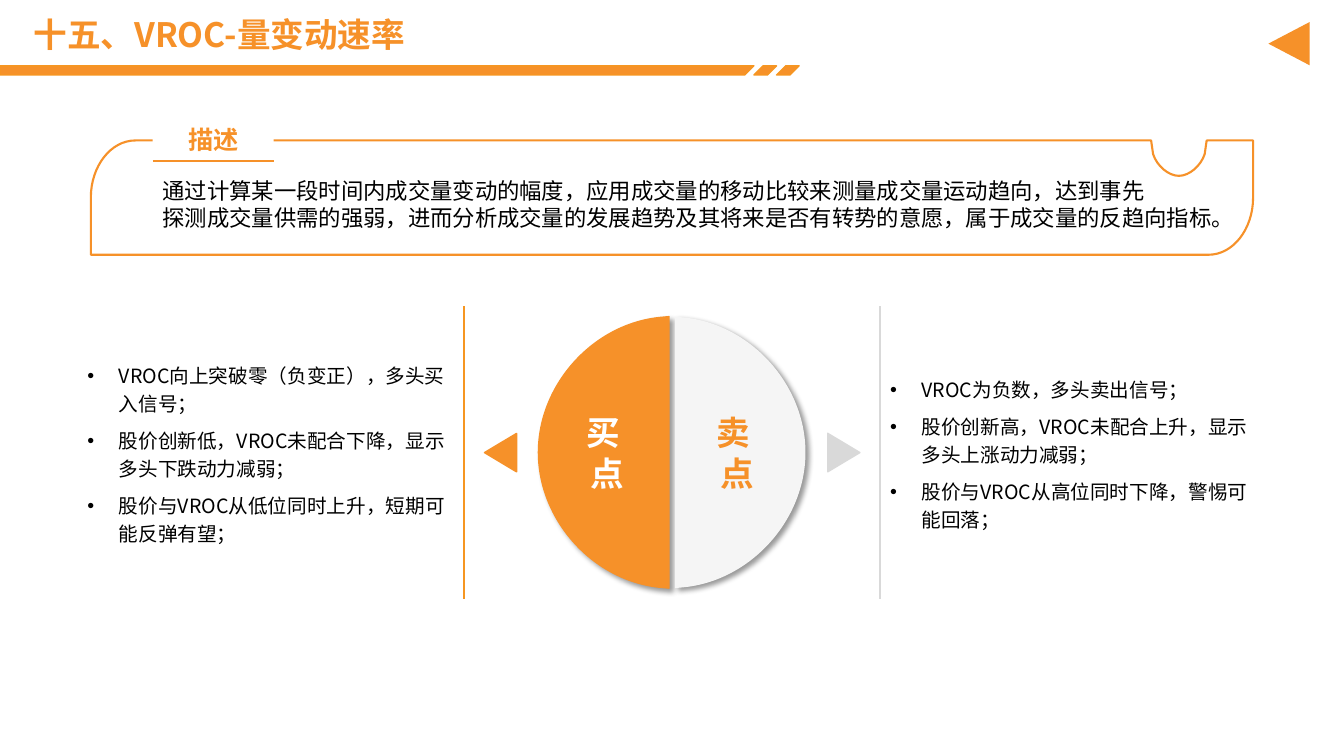
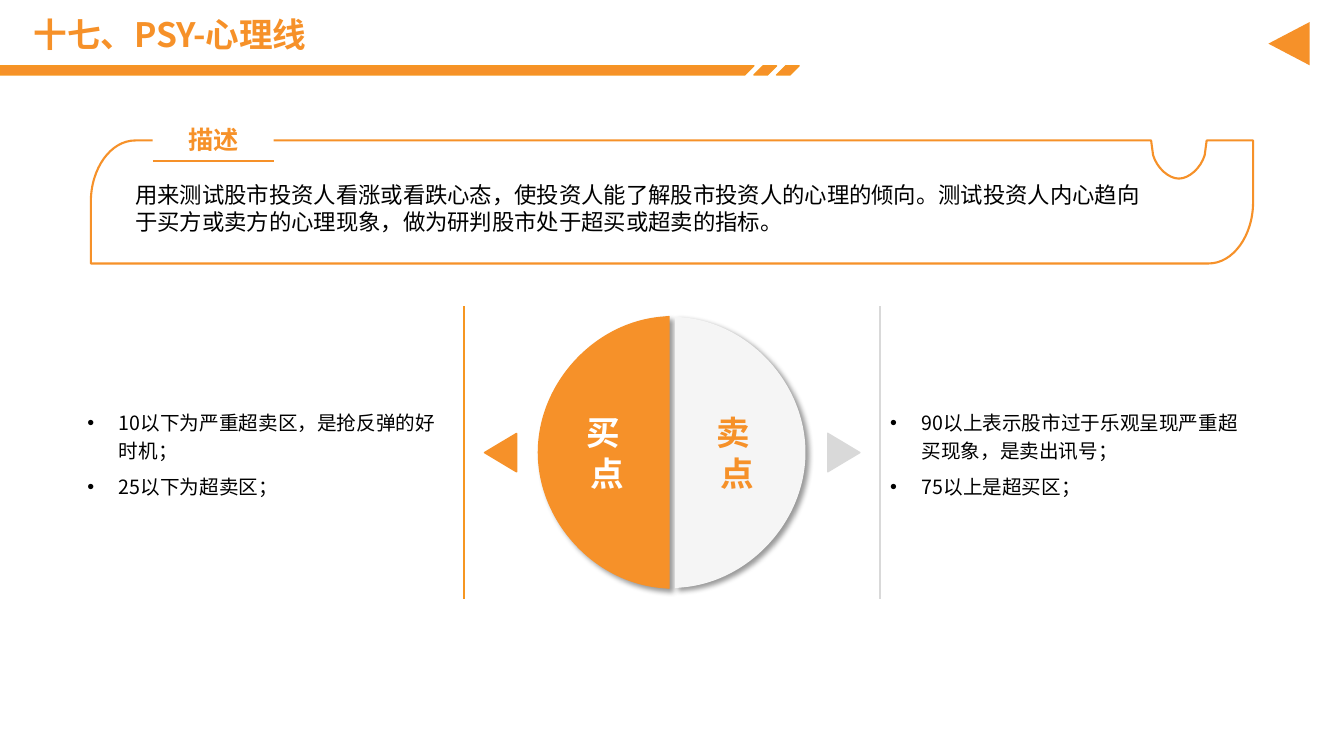
"""Build two indicator slides, each with a description panel and buy and sell signals."""
from dataclasses import dataclass
from typing import Any, NamedTuple

from lxml.etree import SubElement
from pptx import Presentation
from pptx.dml.color import RGBColor
from pptx.enum.shapes import MSO_CONNECTOR as Connector, MSO_SHAPE as Preset
from pptx.enum.text import MSO_ANCHOR as Anchor, MSO_AUTO_SIZE as AutoSize, PP_ALIGN as Align
from pptx.oxml.ns import qn
from pptx.slide import Slide, SlideLayout
from pptx.util import Cm, Pt

FONT = "Noto Sans CJK SC"
ORANGE, BAND_EDGE = "F69129", "F69621"
GREY, PALE, WHITE, BLACK = "D9D9D9", "F5F5F5", "FFFFFF", "000000"
PANEL_LEFT, PANEL_RIGHT, PANEL_TOP = 2.29, 31.58, 3.54
DISC_MIDDLE, DISC_RADIUS, DISC_REACH = 11.4, 3.42, 3.29
CURVE_PULL = 0.55

Point = tuple[float, float]
Step = list[Point]


class Frame(NamedTuple):
    """Place and size in centimetres."""
    left: float
    top: float
    width: float
    height: float

    def lengths(self) -> list[Cm]:
        """Give the four values as lengths."""
        return [Cm(value) for value in self]


@dataclass(frozen=True)
class TextStyle:
    """Look of a piece of text."""
    size: float
    colour: str = BLACK
    bold: bool = False
    align: Align = Align.LEFT
    line_spacing: float = 1.0
    space_after: float = 0
    bullet: bool = False


@dataclass(frozen=True)
class Side:
    """One half of the disc with its arrow, divider and signal list."""
    word: str
    word_frame: Frame
    word_colour: str
    cut: float
    direction: int
    fill: str
    edge: str | None
    arrow: Frame
    turn: int
    arrow_colour: str
    divider: float
    divider_colour: str
    signals: Frame


@dataclass(frozen=True)
class Indicator:
    """Wording of one slide and the measures of its panel."""
    title: str
    description: list[str]
    description_frame: Frame
    panel_height: float
    signals: tuple[list[str], list[str]]


TITLE = TextStyle(24, ORANGE, True, line_spacing=0.9)
LABEL = TextStyle(18, ORANGE, True, Align.CENTER)
DESCRIPTION = TextStyle(16)
SIGNAL = TextStyle(14, line_spacing=1.2, space_after=6, bullet=True)
TITLE_FRAME = Frame(0.59, 0.38, 30.96, 1.09)
LABEL_FRAME = Frame(3.85, 2.96, 3.05, 1.09)
BACK_FRAME = Frame(31.94, 0.58, 1.09, 1.04)

SIDES = (
    Side("买", Frame(13.78, 10.12, 3.05, 2.57), WHITE, 16.86, -1, ORANGE, ORANGE,
         Frame(12.13, 11, 0.97, 0.81), 270, ORANGE, 11.7, BAND_EDGE,
         Frame(1.95, 7.64, 9.7, 7.52)),
    Side("卖", Frame(17.06, 10.12, 3.05, 2.57), ORANGE, 17.01, 1, PALE, None,
         Frame(20.78, 11, 0.97, 0.81), 90, GREY, 22.17, GREY,
         Frame(22.18, 7.64, 9.68, 7.52)),
)

INDICATORS = (
    Indicator(
        "十五、VROC-量变动速率",
        ["通过计算某一段时间内成交量变动的幅度，应用成交量的移动比较来测量成交量运动趋向，达到事先",
         "探测成交量供需的强弱，进而分析成交量的发展趋势及其将来是否有转势的意愿，属于成交量的反趋向指标。"],
        Frame(3.85, 4.17, 27.23, 2.01), 2.88,
        (["VROC向上突破零（负变正），多头买入信号；",
          "股价创新低，VROC未配合下降，显示多头下跌动力减弱；",
          "股价与VROC从低位同时上升，短期可能反弹有望；"],
         ["VROC为负数，多头卖出信号；",
          "股价创新高，VROC未配合上升，显示多头上涨动力减弱；",
          "股价与VROC从高位同时下降，警惕可能回落；"])),
    Indicator(
        "十七、PSY-心理线",
        ["用来测试股市投资人看涨或看跌心态，使投资人能了解股市投资人的心理的倾向。测试投资人内心趋向",
         "于买方或卖方的心理现象，做为研判股市处于超买或超卖的指标。"],
        Frame(3.16, 3.95, 27.91, 2.67), 3.1,
        (["10以下为严重超卖区，是抢反弹的好时机；", "25以下为超卖区；"],
         ["90以上表示股市过于乐观呈现严重超买现象，是卖出讯号；", "75以上是超买区；"])),
)


def paint(target: Any, colour: str) -> None:
    """Give a fill or a font a solid colour."""
    fill = getattr(target, "fill", target)
    fill.solid()
    fill.fore_color.rgb = RGBColor.from_string(colour)


def finish(shape: Any, fill: str | None, edge: str | None = None, weight: float = 1) -> None:
    """Set fill and outline of a shape and drop its shadow."""
    for target, colour in ((shape.fill, fill), (shape.line.fill, edge)):
        if colour:
            paint(target, colour)
        else:
            target.background()
    if edge:
        shape.line.width = Pt(weight)
    shape.shadow.inherit = False


def write(shape: Any, lines: list[str], style: TextStyle) -> None:
    """Fill a shape with styled paragraphs, vertically centred."""
    box = shape.text_frame
    box.word_wrap = True
    box.auto_size = AutoSize.NONE
    box.vertical_anchor = Anchor.MIDDLE
    for number, line in enumerate(lines):
        para = box.add_paragraph() if number else box.paragraphs[0]
        if style.bullet:
            properties = para._p.get_or_add_pPr()
            properties.set("marL", str(Cm(0.79)))
            properties.set("indent", str(-Cm(0.79)))
            SubElement(properties, qn("a:buFont"), typeface="Arial")
            SubElement(properties, qn("a:buChar"), char="•")
        para.alignment = style.align
        para.line_spacing = style.line_spacing
        para.space_before = Pt(0)
        para.space_after = Pt(style.space_after)
        span = para.add_run()
        span.text = line
        span.font.size = Pt(style.size)
        span.font.bold = style.bold
        span.font.name = FONT
        paint(span.font, style.colour)
        SubElement(span.font._element, qn("a:ea"), typeface=FONT)


def place(shape: Any, frame: Frame) -> None:
    """Move and size a shape."""
    shape.left, shape.top, shape.width, shape.height = frame.lengths()


def curve(start: Point, corner: Point, end: Point) -> Step:
    """Give the control points and end of a curve that bends towards a corner."""
    pulled = [(x + CURVE_PULL * (corner[0] - x), y + CURVE_PULL * (corner[1] - y))
              for x, y in (start, end)]
    return [*pulled, end]


def add_outline(page: Slide, start: Point, steps: list[Step]) -> Any:
    """Draw a closed outline whose steps are lines (one point) or curves (three points)."""
    builder = page.shapes.build_freeform(Cm(start[0]), Cm(start[1]))
    builder.add_line_segments([(Cm(x), Cm(y)) for step in steps for x, y in step], close=True)
    shape = builder.convert_to_shape()
    segments = iter(list(shape.element.iter(qn("a:lnTo"))))
    for step in steps:
        first, *others = [next(segments) for _ in step]
        if others:
            outline = first.getparent()
            bend = SubElement(outline, qn("a:cubicBezTo"))
            outline.replace(first, bend)
            bend.append(first[0])
            for other in others:
                bend.append(other[0])
                outline.remove(other)
    return shape


def add_rule(page: Slide, start: Point, end: Point, colour: str) -> None:
    """Draw a straight line without a shadow."""
    ends = [Cm(value) for value in (*start, *end)]
    rule = page.shapes.add_connector(Connector.STRAIGHT, *ends)
    paint(rule.line, colour)
    rule.line.width = Pt(1.5)
    SubElement(rule.element.spPr, qn("a:effectLst"))


def add_triangle(page: Slide, frame: Frame, turn: int, colour: str, edge: str | None) -> None:
    """Draw a turned triangle."""
    triangle = page.shapes.add_shape(Preset.ISOSCELES_TRIANGLE, *frame.lengths())
    triangle.rotation = turn
    finish(triangle, colour, edge)


def add_bands(page: Slide, layout: SlideLayout) -> None:
    """Draw the slanted title bands and hand them to the layout."""
    top, bottom, slant = 1.66, 1.89, 0.23
    for top_left, bottom_left, right in ((0, 0, 19), (19.23, 19, 19.57), (19.8, 19.57, 20.14)):
        band = add_outline(page, (top_left, top), [
            [(right, top)], [(right - slant, bottom)], [(bottom_left, bottom)]])
        finish(band, ORANGE, BAND_EDGE)
        layout.shapes.element.append(band.element)


def add_panel(page: Slide, height: float) -> None:
    """Draw the notched panel with its label."""
    middle, bottom, corner = PANEL_TOP + height / 2, PANEL_TOP + height, 1.12
    notch, mouth, neck, bend = 29.71, 0.7, 0.65, 0.47
    neck_y, floor = PANEL_TOP + 0.12 * height, PANEL_TOP + 0.31 * height
    neck_left, neck_right, low = (notch - neck, neck_y), (notch + neck, neck_y), (notch, floor)
    panel = add_outline(page, (PANEL_LEFT + corner, PANEL_TOP), [
        [(notch - mouth, PANEL_TOP)],
        [neck_left],
        curve(neck_left, (notch - bend, floor), low),
        curve(low, (notch + bend, floor), neck_right),
        [(notch + mouth, PANEL_TOP)],
        [(PANEL_RIGHT, PANEL_TOP)],
        [(PANEL_RIGHT, middle)],
        curve((PANEL_RIGHT, middle), (PANEL_RIGHT, bottom), (PANEL_RIGHT - corner, bottom)),
        [(PANEL_LEFT, bottom)],
        [(PANEL_LEFT, middle)],
        curve((PANEL_LEFT, middle), (PANEL_LEFT, PANEL_TOP), (PANEL_LEFT + corner, PANEL_TOP)),
    ])
    finish(panel, None, ORANGE, 1.5)
    label = page.shapes.add_shape(Preset.RECTANGLE, *LABEL_FRAME.lengths())
    finish(label, WHITE)
    write(label, ["描述"], LABEL)
    base = LABEL_FRAME.top + LABEL_FRAME.height
    add_rule(page, (LABEL_FRAME.left, base), (LABEL_FRAME.left + LABEL_FRAME.width, base), ORANGE)


def add_half_disc(page: Slide, side: Side) -> None:
    """Draw one half of the disc with a soft shadow and its word."""
    near, far = side.cut + side.direction * 0.22, side.cut + side.direction * DISC_REACH
    top, bottom = DISC_MIDDLE - DISC_RADIUS, DISC_MIDDLE + DISC_RADIUS
    upper, lower, tip = (near, top + 0.02), (near, bottom - 0.02), (far, DISC_MIDDLE)
    half = add_outline(page, (side.cut, top), [
        [(side.cut, bottom)],
        [lower],
        curve(lower, (far, bottom - 0.32), tip),
        curve(tip, (far, top + 0.32), upper),
    ])
    finish(half, side.fill, side.edge)
    effects = half.element.spPr.find(qn("a:effectLst"))
    shadow = SubElement(effects, qn("a:outerShdw"), blurRad=str(Pt(4)), dist=str(Pt(3)),
                        dir="2700000", algn="tl", rotWithShape="0")
    tint = SubElement(shadow, qn("a:srgbClr"), val=BLACK)
    SubElement(tint, qn("a:alpha"), val="40000")
    word = page.shapes.add_textbox(*side.word_frame.lengths())
    write(word, [side.word + " ", "点"], TextStyle(24, side.word_colour, True, Align.CENTER))


def add_indicator(page: Slide, indicator: Indicator) -> None:
    """Fill one slide."""
    title, *holders = page.placeholders
    place(title, TITLE_FRAME)
    write(title, [indicator.title], TITLE)
    add_triangle(page, BACK_FRAME, 270, ORANGE, None)
    description = page.shapes.add_textbox(*indicator.description_frame.lengths())
    description.text_frame.margin_bottom = Cm(0.2)
    write(description, indicator.description, DESCRIPTION)
    add_panel(page, indicator.panel_height)
    for side, holder, signals in zip(SIDES, holders, indicator.signals):
        add_half_disc(page, side)
        add_triangle(page, side.arrow, side.turn, side.arrow_colour, side.arrow_colour)
        add_rule(page, (side.divider, 7.72), (side.divider, 15.09), side.divider_colour)
        place(holder, side.signals)
        write(holder, signals, SIGNAL)


def main() -> None:
    """Build and save the deck."""
    deck = Presentation()
    deck.slide_width, deck.slide_height = Cm(33.87), Cm(19.05)
    layout = deck.slide_layouts.get_by_name("Two Content")
    pages = [deck.slides.add_slide(layout) for _ in INDICATORS]
    add_bands(pages[0], layout)
    for page, indicator in zip(pages, INDICATORS):
        add_indicator(page, indicator)
    deck.save("out.pptx")


if __name__ == "__main__":
    main()
